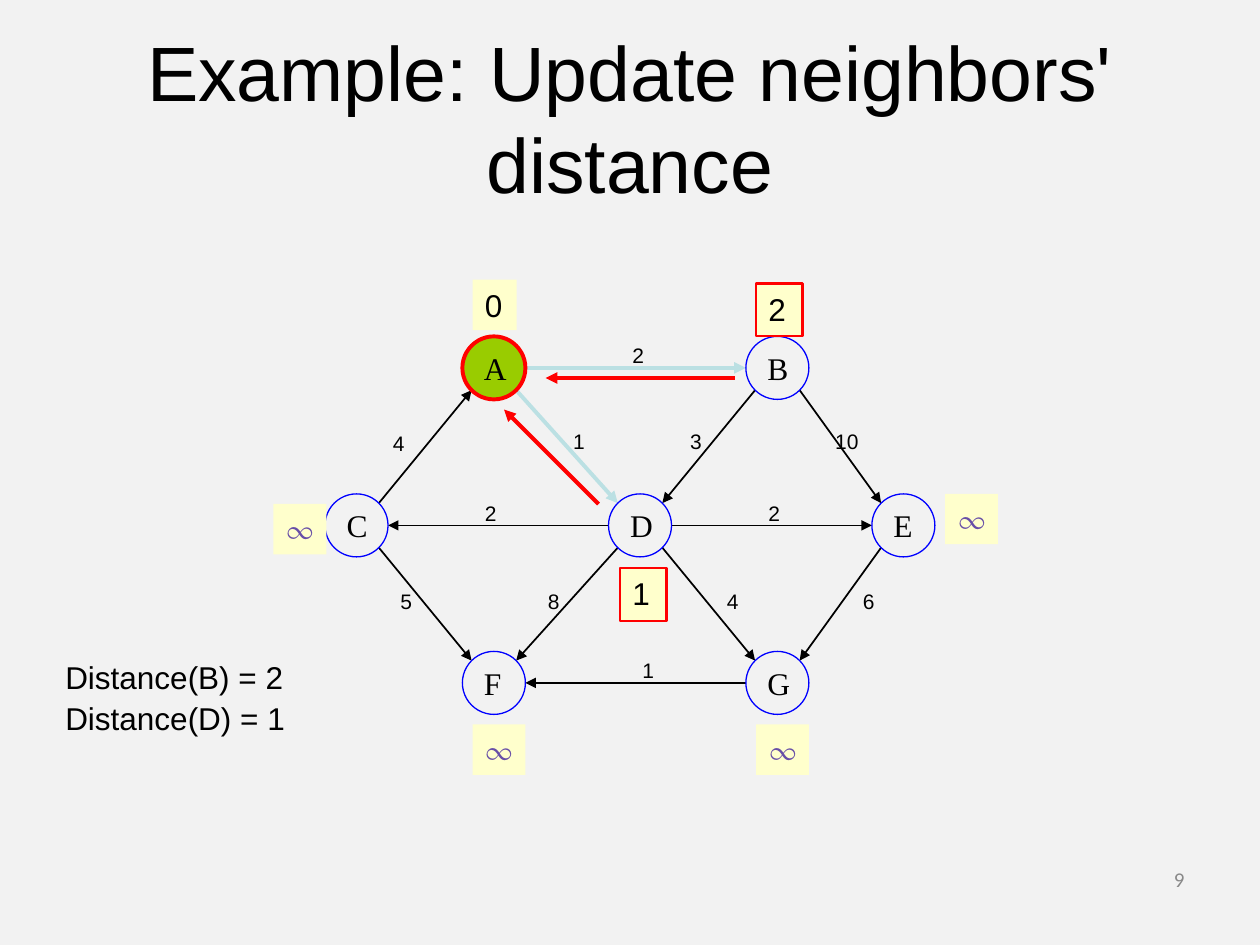
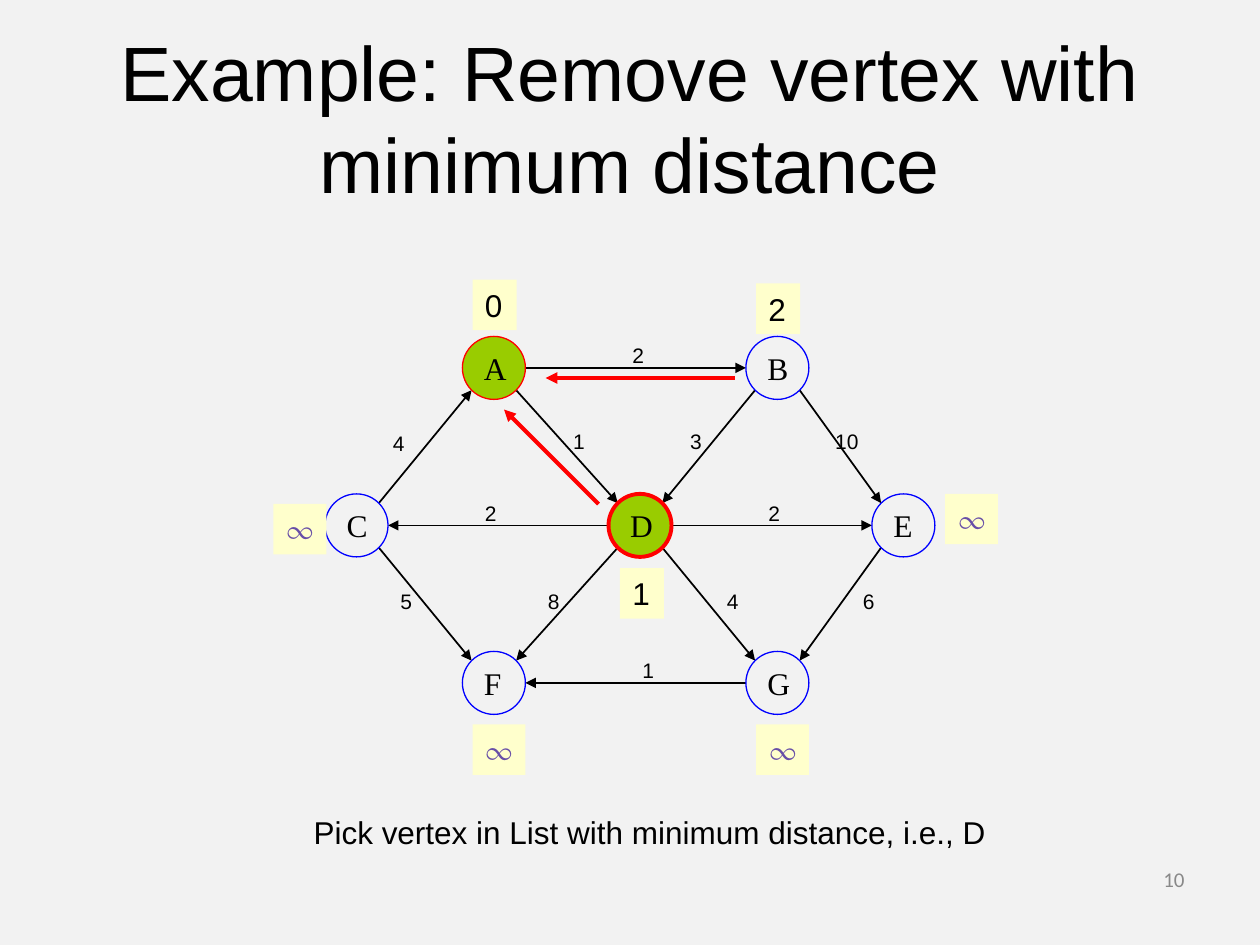
from dataclasses import dataclass
from math import sqrt

from pptx import Presentation
from pptx.dml.color import RGBColor
from pptx.enum.shapes import MSO_CONNECTOR, MSO_SHAPE
from pptx.enum.text import MSO_ANCHOR, MSO_AUTO_SIZE, PP_ALIGN
from pptx.oxml.ns import qn
from pptx.util import Inches, Pt
from lxml import etree

STRAIGHT = MSO_CONNECTOR.STRAIGHT
OVAL, RECTANGLE = MSO_SHAPE.OVAL, MSO_SHAPE.RECTANGLE
TOP, MIDDLE = MSO_ANCHOR.TOP, MSO_ANCHOR.MIDDLE
LEFT, CENTER, RIGHT = PP_ALIGN.LEFT, PP_ALIGN.CENTER, PP_ALIGN.RIGHT
FIT_SHAPE = MSO_AUTO_SIZE.SHAPE_TO_FIT_TEXT


@dataclass(frozen=True)
class Theme:
    background: str = "F2F2F2"
    ink: str = "000000"
    page_grey: str = "898989"
    vertex_line: str = "0000FF"
    visited: str = "99CC00"
    highlight: str = "FF0000"
    relaxed: str = "BBE0E3"
    distance_fill: str = "FFFFCC"
    infinity: str = "674EA7"
    sans: str = "Arial"
    serif: str = "Times New Roman"
    symbol: str = "TeX Gyre Pagella"
    page_font: str = "Calibri"
    title_size: int = 44
    body_size: int = 18
    small_size: int = 12
    thin: float = 0.75
    edge: float = 1
    box_line: float = 1.25
    thick: float = 2.25


THEME = Theme()

# Graph: vertex centres, and edges with the corner of each weight label
RADIUS = 0.25
VERTICES = {
    "A": (3.92, 2.92), "B": (6.17, 2.92),
    "C": (2.83, 4.17), "D": (5.08, 4.17), "E": (7.17, 4.17),
    "F": (3.92, 5.42), "G": (6.17, 5.42),
}
EDGES = [
    ("A", "B", "2", 4.92, 2.67), ("A", "D", "1", 4.45, 3.35),
    ("B", "D", "3", 5.38, 3.35), ("B", "E", "10", 6.53, 3.35),
    ("C", "A", "4", 3.02, 3.37), ("C", "F", "5", 3.08, 4.62),
    ("D", "C", "2", 3.75, 3.92), ("D", "E", "2", 6, 3.92),
    ("D", "F", "8", 4.25, 4.62), ("D", "G", "4", 5.67, 4.62),
    ("E", "G", "6", 6.75, 4.62), ("G", "F", "1", 5, 5.17),
]
DISTANCES = {
    "A": ("0", 3.75, 2.22), "B": ("2", 6, 2.25), "C": ("∞", 2.17, 4),
    "D": ("1", 4.92, 4.51), "E": ("∞", 7.5, 3.92),
    "F": ("∞", 3.75, 5.75), "G": ("∞", 6, 5.75),
}
PREDECESSOR_ARROWS = [((4.75, 4), (4, 3.25)), ((5.83, 3), (4.33, 3))]


def rgb(color):
    return RGBColor.from_string(color)


def write(shape, text, size, color=THEME.ink, font=THEME.sans,
          align=LEFT, anchor=TOP, wrap=False):
    frame = shape.text_frame
    frame.text = text
    frame.word_wrap = wrap
    frame.vertical_anchor = anchor
    paragraph = frame.paragraphs[0]
    paragraph.alignment = align
    run_font = paragraph.runs[0].font
    run_font.size, run_font.name = Pt(size), font
    run_font.color.rgb = rgb(color)


def add_text(shapes, box, text, size, **style):
    text_box = shapes.add_textbox(*map(Inches, box))
    write(text_box, text, size, **style)
    return text_box


def add_outlined(shapes, kind, box, fill=None, line=None, width=THEME.thin):
    shape = shapes.add_shape(kind, *map(Inches, box))
    shape.shadow.inherit = False
    if fill:
        shape.fill.solid()
        shape.fill.fore_color.rgb = rgb(fill)
    else:
        shape.fill.background()
    if line:
        shape.line.color.rgb = rgb(line)
        shape.line.width = Pt(width)
    else:
        shape.line.fill.background()
    return shape


def add_arrow(shapes, start, end, color=THEME.ink, width=THEME.edge):
    arrow = shapes.add_connector(STRAIGHT, *map(Inches, (*start, *end)))
    arrow.line.color.rgb = rgb(color)
    arrow.line.width = Pt(width)
    etree.SubElement(arrow.line._get_or_add_ln(), qn("a:tailEnd"), type="triangle")
    etree.SubElement(arrow._element.spPr, qn("a:effectLst"))


def rim_point(vertex, toward):
    """Point on the vertex circle, sideways or on the diagonal facing the other vertex."""
    (x, y), (other_x, other_y) = VERTICES[vertex], VERTICES[toward]
    step_x = RADIUS if other_x > x else -RADIUS
    if other_y == y:
        return x + step_x, y
    step_y = RADIUS if other_y > y else -RADIUS
    return x + step_x / sqrt(2), y + step_y / sqrt(2)


def add_edge(shapes, source, target, weight, left, top, relaxed):
    style = dict(color=THEME.relaxed, width=THEME.thick) if relaxed else {}
    add_arrow(shapes, rim_point(source, target), rim_point(target, source), **style)
    label = add_text(shapes, (left, top, 0.2 + 0.1 * len(weight), 0.3), weight,
                     THEME.small_size, anchor=MIDDLE)
    label.text_frame.auto_size = FIT_SHAPE


def add_vertex(shapes, name, visited, current):
    x, y = VERTICES[name]
    circle = add_outlined(
        shapes, OVAL, (x - RADIUS, y - RADIUS, 2 * RADIUS, 2 * RADIUS),
        fill=THEME.visited if visited else None,
        line=THEME.highlight if visited else THEME.vertex_line,
        width=THEME.thick if current else THEME.thin)
    write(circle, name, THEME.body_size, font=THEME.serif, anchor=MIDDLE)


def add_distance(shapes, text, left, top, updated):
    infinite = text == "∞"
    growth = 0.02 if updated else 0
    width = 0.42 if infinite else 0.35
    box = add_outlined(shapes, RECTANGLE, (left, top, width + growth, 0.4 + growth),
                       THEME.distance_fill, THEME.highlight if updated else None,
                       THEME.box_line)
    write(box, text, THEME.body_size,
          color=THEME.infinity if infinite else THEME.ink,
          font=THEME.symbol if infinite else THEME.sans)
    box.text_frame.auto_size = FIT_SHAPE


def add_graph(slide, visited, current, relaxed=(), updated=""):
    shapes = slide.shapes.add_group_shape().shapes
    for source, target, weight, left, top in EDGES:
        add_edge(shapes, source, target, weight, left, top, source + target in relaxed)
    for name in VERTICES:
        add_vertex(shapes, name, name in visited, name == current)
    for name, (text, left, top) in DISTANCES.items():
        add_distance(shapes, text, left, top, name in updated)
    for start, end in PREDECESSOR_ARROWS:
        add_arrow(slide.shapes, start, end, THEME.highlight, THEME.thick)


def add_slide(deck, title, page):
    slide = deck.slides.add_slide(deck.slide_layouts[6])
    slide.background.fill.solid()
    slide.background.fill.fore_color.rgb = rgb(THEME.background)
    add_text(slide.shapes, (0.5, 0.3, 9, 1.25), title, THEME.title_size,
             align=CENTER, anchor=MIDDLE, wrap=True)
    add_text(slide.shapes, (7.17, 6.83, 2.33, 0.52), page, THEME.small_size,
             color=THEME.page_grey, font=THEME.page_font, align=RIGHT, wrap=True)
    return slide


def main():
    deck = Presentation()
    deck.slide_width, deck.slide_height = Inches(10), Inches(7.5)

    # Neighbors of A receive their distances
    update = add_slide(deck, "Example: Update neighbors' distance", "9")
    add_graph(update, visited="A", current="A", relaxed=("AB", "AD"), updated="BD")
    for top, result in ((5.17, "Distance(B) = 2"), (5.5, "Distance(D) = 1")):
        add_text(update.shapes, (0.42, top, 2.13, 0.86), result, THEME.body_size, wrap=True)

    # D is the closest vertex left
    remove = add_slide(deck, "Example: Remove vertex with minimum distance", "10")
    add_graph(remove, visited="AD", current="D")
    add_text(remove.shapes, (2.39, 6.4, 5.59, 0.4),
             "Pick vertex in List with minimum distance, i.e., D", THEME.body_size)

    deck.save("out.pptx")


if __name__ == "__main__":
    main()
